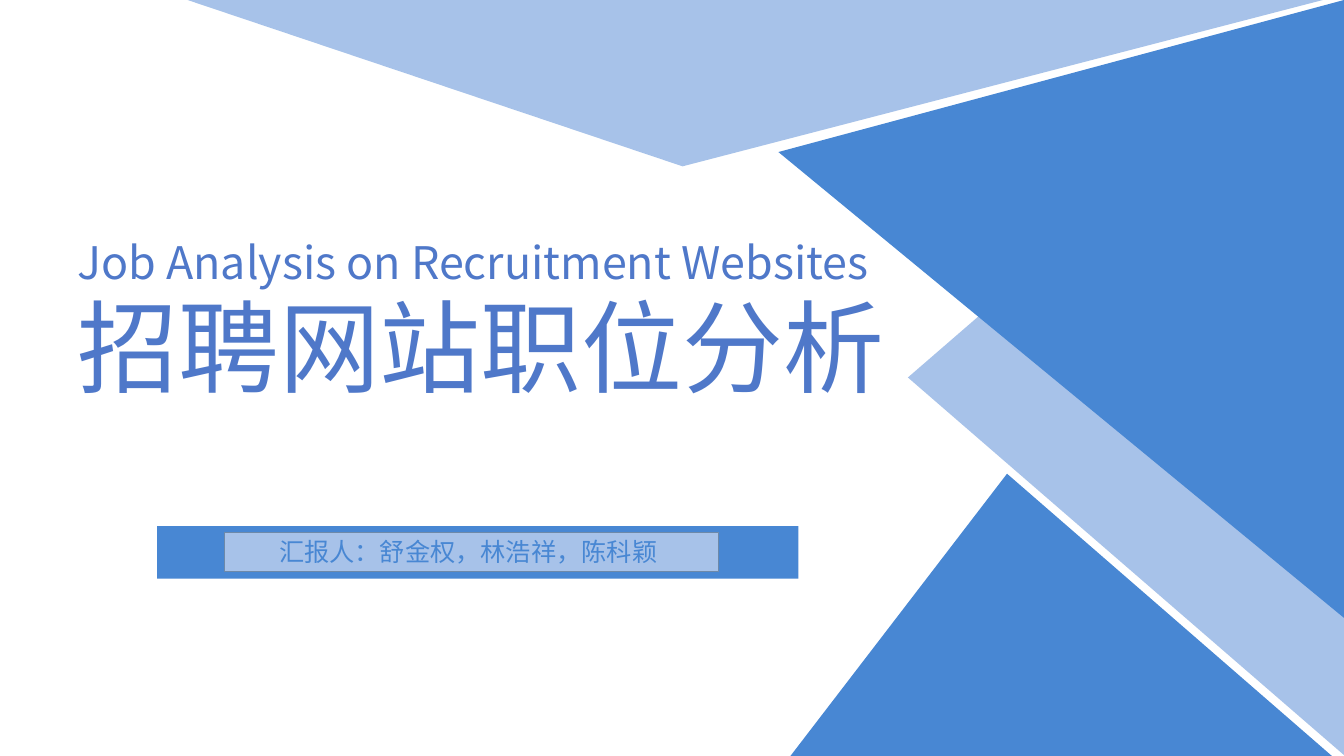
"""Build the cover slide of a report on recruitment website jobs."""
from lxml.etree import SubElement
from pptx import Presentation
from pptx.dml.color import RGBColor
from pptx.enum.shapes import MSO_SHAPE as Preset
from pptx.enum.text import MSO_AUTO_SIZE as AutoSize
from pptx.oxml.ns import qn
from pptx.util import Inches, Pt

FONT = "Noto Sans CJK SC"
TITLE_BLUE = RGBColor(0x4F, 0x78, 0xC9)
BLUE = RGBColor(0x48, 0x87, 0xD3)
LIGHT_BLUE = RGBColor(0xA7, 0xC2, 0xE9)
OUTLINE_BLUE = RGBColor(0x6D, 0x89, 0xA9)

# text, box, size, colour, wraps
TITLES = [
    ("招聘网站职位分析", (0.67, 2.78, 8.2, 1.31), 72, TITLE_BLUE, False),
    ("Job Analysis on Recruitment Websites", (0.67, 2.28, 8.35, 0.64), 32, TITLE_BLUE, False),
]
PRESENTERS = ("汇报人：舒金权，林浩祥，陈科颖", (2.67, 5.27, 3.98, 0.4), 18, BLUE, True)

# box before rotation, rotation, apex position, fill
TRIANGLES = [
    ((7.42, 1.58, 7.5, 4.33), 270, 0.5, LIGHT_BLUE),
    ((7.46, 0.26, 6.13, 5.61), 270, 0.754, BLUE),
    ((7.84, 4.7, 5.37, 2.8), 0, 0.4, BLUE),
    ((1.86, 0, 11.26, 1.65), 180, 0.564, LIGHT_BLUE),
]
# box, fill, outline
BARS = [
    ((1.56, 5.22, 6.36, 0.52), BLUE, None),
    ((2.23, 5.28, 4.9, 0.39), LIGHT_BLUE, OUTLINE_BLUE),
]


def add_filled(slide, preset, box, fill, outline=None):
    shape = slide.shapes.add_shape(preset, *map(Inches, box))
    shape.shadow.inherit = False
    shape.fill.solid()
    shape.fill.fore_color.rgb = fill
    if outline is None:
        shape.line.fill.background()
    else:
        shape.line.color.rgb = outline
        shape.line.width = Pt(1)
    return shape


def add_text(slide, text, box, size, color, wraps):
    frame = slide.shapes.add_textbox(*map(Inches, box)).text_frame
    frame.word_wrap = wraps
    frame.auto_size = AutoSize.NONE if wraps else AutoSize.SHAPE_TO_FIT_TEXT
    run = frame.paragraphs[0].add_run()
    run.text = text
    run.font.size = Pt(size)
    run.font.color.rgb = color
    run.font.name = FONT
    SubElement(run.font._element, qn("a:ea")).set("typeface", FONT)


def main():
    presentation = Presentation()
    presentation.slide_width = Inches(13.33)
    presentation.slide_height = Inches(7.5)
    slide = presentation.slides.add_slide(presentation.slide_layouts[6])

    for title in TITLES:
        add_text(slide, *title)
    for box, rotation, apex, fill in TRIANGLES:
        triangle = add_filled(slide, Preset.ISOSCELES_TRIANGLE, box, fill)
        triangle.rotation = rotation
        triangle.adjustments[0] = apex
    for box, fill, outline in BARS:
        add_filled(slide, Preset.RECTANGLE, box, fill, outline)
    add_text(slide, *PRESENTERS)

    presentation.save("out.pptx")


if __name__ == "__main__":
    main()
